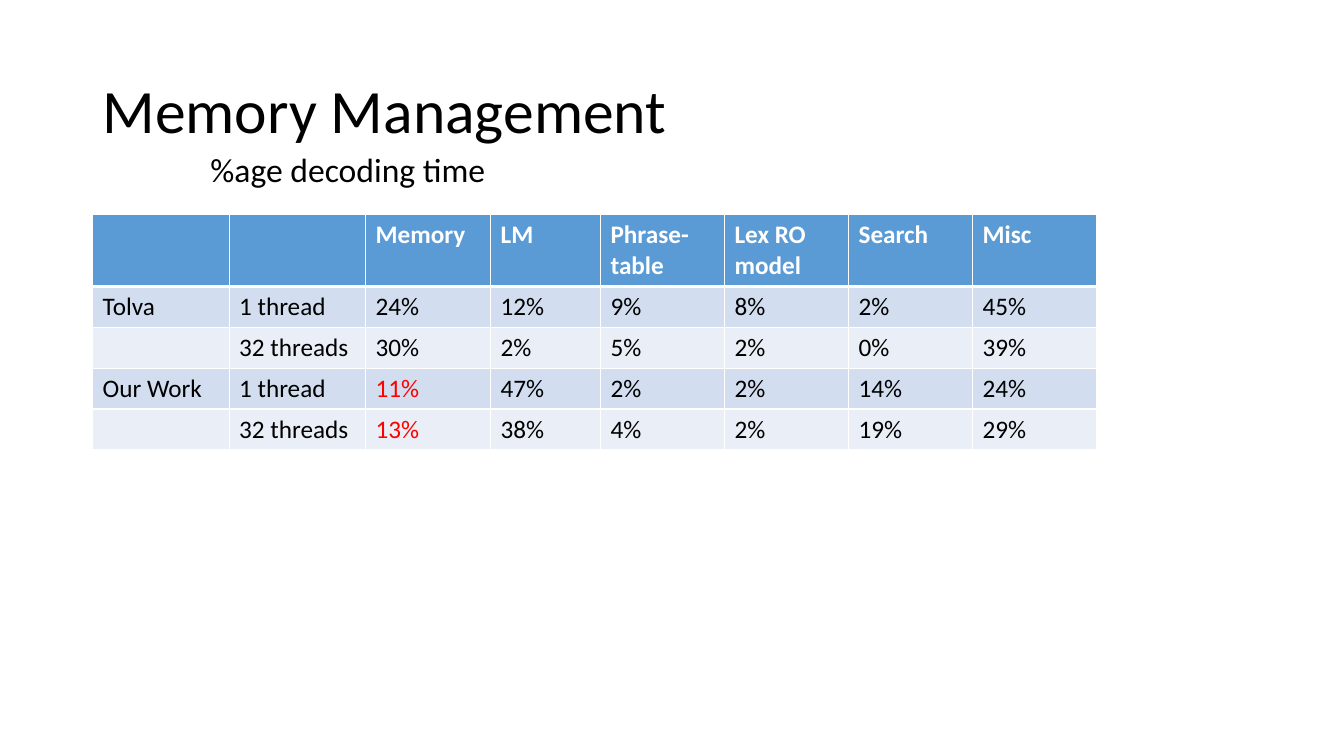
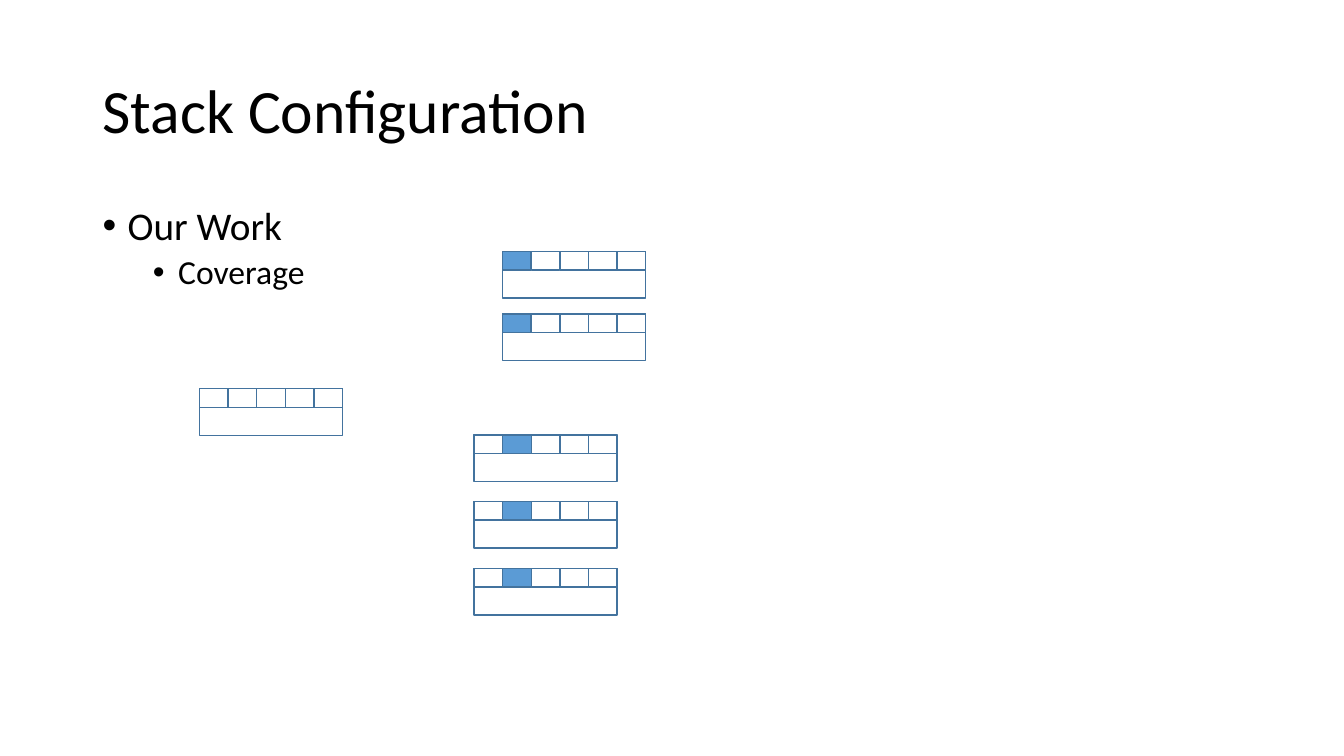
import dataclasses

import pptx
import pptx.dml.color
import pptx.enum.shapes
import pptx.enum.text
import pptx.oxml
import pptx.oxml.ns
import pptx.util
from lxml import etree

Pt = pptx.util.Pt
RGB = pptx.dml.color.RGBColor.from_string
ANCHOR = pptx.enum.text.MSO_ANCHOR
RECTANGLE = pptx.enum.shapes.MSO_SHAPE.RECTANGLE


@dataclasses.dataclass(frozen=True)
class Theme:
    font: str = "Calibri"
    text: str = "000000"
    light: str = "FFFFFF"
    accent: str = "5B9BD5"
    outline: str = "43739E"
    highlight: str = "FF0000"
    bands: tuple = ("D2DEEF", "EAEFF7")
    title_size: float = 44
    body_size: float = 28
    sub_size: float = 24
    table_size: float = 18


THEME = Theme()
SLIDE_SIZE = (960, 540)
TITLE_BOX = (66.2, 28.8, 828, 104.4)
BODY_BOX = (66.2, 144, 828, 342.7)

# Memory table
TIME_CAPTION_BOX = (143.3, 103, 227.5, 36)
TIME_TABLE_ORIGIN = (66.2, 153.2)
TIME_COLUMNS = (97.5, 97.5, 89.3, 78.5) + (88.6,) * 4
HEADER_HEIGHT, ROW_HEIGHT = 51.4, 29.2
TIME_ROWS = (
    ("", "", "Memory", "LM", "Phrase-table", "Lex RO model", "Search", "Misc"),
    ("Tolva", "1 thread", "24%", "12%", "9%", "8%", "2%", "45%"),
    ("", "32 threads", "30%", "2%", "5%", "2%", "0%", "39%"),
    ("Our Work", "1 thread", "11%", "47%", "2%", "2%", "14%", "24%"),
    ("", "32 threads", "13%", "38%", "4%", "2%", "19%", "29%"),
)
HIGHLIGHTED_CELLS = {(3, 2), (4, 2)}

# Stacks: left, top, index of the covered word (None when nothing is covered)
STACK_SIZE = (102.2, 33.3)
COVERAGE_WORDS, COVERAGE_HEIGHT = 5, 13.2
STACKS = (
    (142.5, 277.7, None),
    (359, 179.6, 0),
    (359, 224.2, 0),
    (338.6, 310.8, 1),
    (338.6, 358.2, 1),
    (338.6, 406, 1),
)


def points(box):
    return [Pt(length) for length in box]


def apply_format(target, values):
    for name, value in values.items():
        setattr(target, name, value)


def write(para, text, size, color=THEME.text, bold=False):
    span = para.add_run()
    span.text = text
    apply_format(span.font, {"name": THEME.font, "size": Pt(size), "bold": bold})
    span.font.color.rgb = RGB(color)


def add_text_frame(page, box, anchor=ANCHOR.TOP):
    frame = page.shapes.add_textbox(*points(box)).text_frame
    apply_format(frame, {"word_wrap": True, "vertical_anchor": anchor})
    return frame


def add_page(deck, title):
    page = deck.slides.add_slide(deck.slide_layouts[6])
    para = add_text_frame(page, TITLE_BOX, ANCHOR.MIDDLE).paragraphs[0]
    para.line_spacing = 0.9
    write(para, title, THEME.title_size)
    return page


def add_bullets(page, box, items):
    """Items are (text, level, size, space before)."""
    frame = add_text_frame(page, box)
    for index, (text, level, size, space) in enumerate(items):
        para = frame.add_paragraph() if index else frame.paragraphs[0]
        apply_format(para, {"level": level, "line_spacing": 0.9, "space_before": Pt(space)})
        write(para, text, size)
        properties = para._p.get_or_add_pPr()
        properties.set("marL", str(Pt(18 + 36 * level)))
        properties.set("indent", str(Pt(-18)))
        font = etree.SubElement(properties, pptx.oxml.ns.qn("a:buFont"))
        font.set("typeface", "Arial")
        bullet = etree.SubElement(properties, pptx.oxml.ns.qn("a:buChar"))
        bullet.set("char", "•")


def add_borders(cell, widths):
    for side, width in widths.items():
        cell._tc.get_or_add_tcPr().append(pptx.oxml.parse_xml(
            f'<a:{side} {pptx.oxml.ns.nsdecls("a")} w="{Pt(width)}"><a:solidFill>'
            f'<a:srgbClr val="{THEME.light}"/></a:solidFill></a:{side}>'))


def add_time_table(page, origin):
    heights = [HEADER_HEIGHT] + [ROW_HEIGHT] * (len(TIME_ROWS) - 1)
    box = (*origin, sum(TIME_COLUMNS), sum(heights))
    table = page.shapes.add_table(len(heights), len(TIME_COLUMNS), *points(box)).table
    for column, width in zip(table.columns, TIME_COLUMNS):
        column.width = Pt(width)
    for row_index, (height, texts) in enumerate(zip(heights, TIME_ROWS)):
        table.rows[row_index].height = Pt(height)
        header = row_index == 0
        fill = THEME.accent if header else THEME.bands[(row_index - 1) % 2]
        for column_index, text in enumerate(texts):
            cell = table.cell(row_index, column_index)
            add_borders(cell, {"lnL": 1, "lnR": 1, "lnT": 3 if row_index == 1 else 1,
                               "lnB": 3 if header else 1})
            cell.fill.solid()
            cell.fill.fore_color.rgb = RGB(fill)
            color = THEME.light if header else THEME.text
            if (row_index, column_index) in HIGHLIGHTED_CELLS:
                color = THEME.highlight
            if text:
                write(cell.text_frame.paragraphs[0], text, THEME.table_size, color, header)


def add_box(shapes, box, fill=None):
    shape = shapes.add_shape(RECTANGLE, *points(box))
    shape.shadow.inherit = False
    if fill:
        shape.fill.solid()
        shape.fill.fore_color.rgb = RGB(fill)
    else:
        shape.fill.background()
    shape.line.color.rgb = RGB(THEME.outline)
    shape.line.width = Pt(1)


def add_stack(page, box, covered):
    """A hypothesis box with its row of coverage cells along the top."""
    left, top, width, _ = box
    group = page.shapes.add_group_shape()
    add_box(group.shapes, box)
    pitch = width / COVERAGE_WORDS
    for word in range(COVERAGE_WORDS):
        cell = (left + word * pitch, top, pitch, COVERAGE_HEIGHT)
        add_box(group.shapes, cell, THEME.accent if word == covered else None)


def build_memory_page(deck):
    page = add_page(deck, "Memory Management")
    add_time_table(page, TIME_TABLE_ORIGIN)
    caption = add_text_frame(page, TIME_CAPTION_BOX)
    write(caption.paragraphs[0], "%age decoding time", THEME.sub_size)


def build_stack_page(deck):
    page = add_page(deck, "Stack Configuration")
    add_bullets(page, BODY_BOX, (("Our Work", 0, THEME.body_size, 10),
                                 ("Coverage", 1, THEME.sub_size, 5)))
    for left, top, covered in STACKS:
        add_stack(page, (left, top, *STACK_SIZE), covered)


def main():
    deck = pptx.Presentation()
    deck.slide_width, deck.slide_height = points(SLIDE_SIZE)
    build_memory_page(deck)
    build_stack_page(deck)
    deck.save("out.pptx")


if __name__ == "__main__":
    main()
